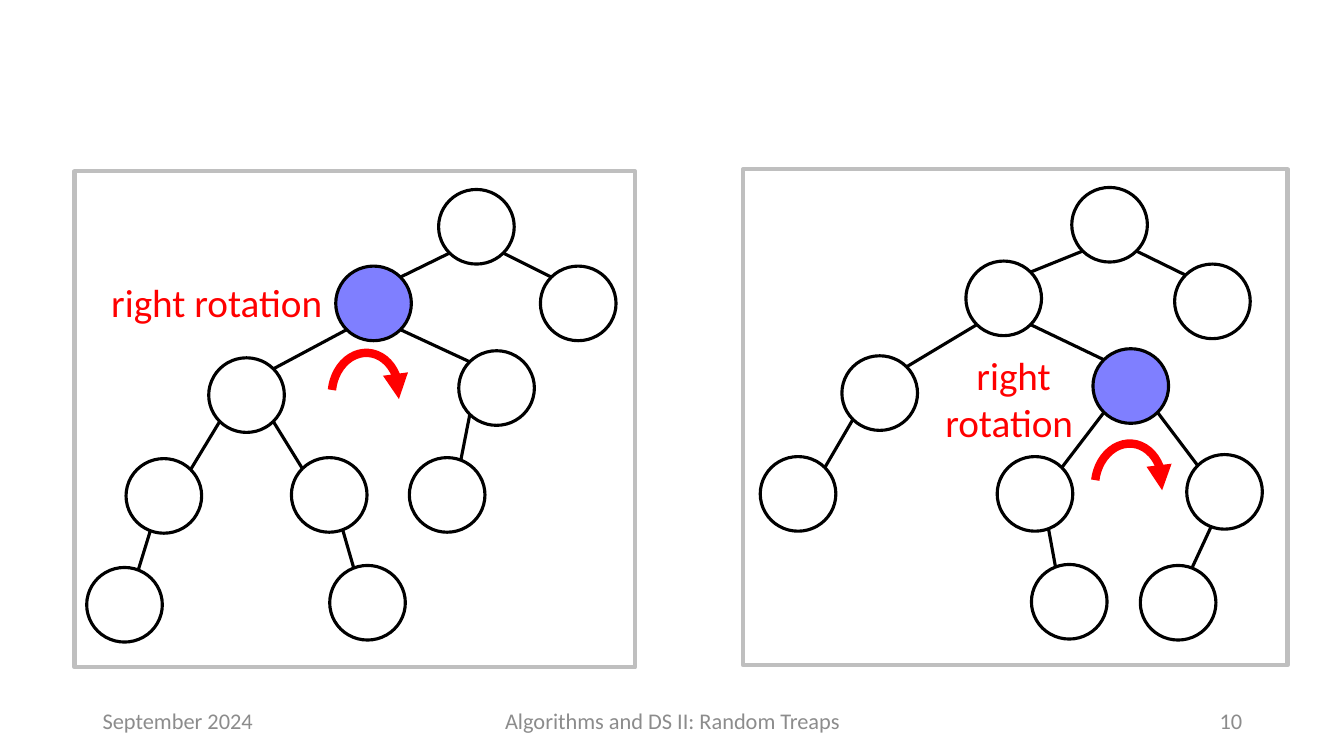
import lxml.etree
import pptx
import pptx.dml.color
import pptx.enum.shapes
import pptx.enum.text
import pptx.oxml.ns
import pptx.util

Inches = pptx.util.Inches
Pt = pptx.util.Pt
RGB = pptx.dml.color.RGBColor.from_string
Shape = pptx.enum.shapes.MSO_SHAPE
Align = pptx.enum.text.PP_ALIGN
qn = pptx.oxml.ns.qn

theme = {
    "font": "Calibri", "foot": "8C8C8C", "ink": "000000", "frame": "BFBFBF",
    "turn": "FF0000", "pivot": "0000FF", "small": 16, "large": 28,
}
WIDE, HIGH = 0.75, 0.74  # node size

prs = pptx.Presentation()
prs.slide_width, prs.slide_height = Inches(13.33), Inches(7.5)
slide = prs.slides.add_slide(prs.slide_layouts[6])


def add_text(shapes, box, lines, size, align):
    """Add a text box; each line is a list of (text, colour) runs."""
    text = shapes.add_textbox(*map(Inches, box))
    frame = text.text_frame
    frame.word_wrap = True
    for i, line in enumerate(lines):
        para = frame.paragraphs[0] if i == 0 else frame.add_paragraph()
        para.alignment = align
        for words, color in line:
            run = para.add_run()
            run.text = words
            run.font.name = theme["font"]
            run.font.size = Pt(size)
            run.font.color.rgb = RGB(color)
    return frame


def add_shape(shapes, kind, box, color, width):
    """Add an unfilled outline shape."""
    shape = shapes.add_shape(kind, *map(Inches, box))
    shape.shadow.inherit = False
    shape.fill.background()
    shape.line.color.rgb = RGB(color)
    shape.line.width = Pt(width)
    return shape


# Footer
for left, width, words, align in [
    (0.92, 3, "September 2024", Align.LEFT),
    (4.42, 4.5, "Algorithms and DS II: Random Treaps", Align.CENTER),
    (9.42, 3, "10", Align.RIGHT),
]:
    foot = add_text(slide.shapes, (left, 6.95, width, 0.4),
                    [[(words, theme["foot"])]], theme["small"], align)
    foot.vertical_anchor = pptx.enum.text.MSO_ANCHOR.MIDDLE

# Trees: frame, pivot, and nodes as name: (left, top, parent)
trees = [
    ((0.74, 1.7, 5.56, 4.92), "b", {
        "a": (4.35, 1.88, None), "b": (3.33, 2.64, "a"), "c": (5.36, 2.64, "a"),
        "d": (2.07, 3.55, "b"), "e": (4.55, 3.48, "b"),
        "f": (1.25, 4.55, "d"), "g": (2.89, 4.54, "d"), "h": (4.06, 4.54, "e"),
        "i": (0.86, 5.63, "f"), "j": (3.27, 5.61, "g"),
    }),
    ((7.37, 1.68, 5.4, 4.92), "e", {
        "a": (10.63, 1.86, None), "b": (9.58, 2.59, "a"), "c": (11.65, 2.62, "a"),
        "d": (8.35, 3.53, "b"), "e": (10.84, 3.46, "b"),
        "f": (7.54, 4.53, "d"), "g": (9.89, 4.53, "e"), "h": (11.77, 4.51, "e"),
        "i": (10.23, 5.6, "g"), "j": (11.31, 5.61, "h"),
    }),
]
for border, pivot, nodes in trees:
    group = slide.shapes.add_group_shape().shapes
    add_shape(group, Shape.RECTANGLE, border, theme["frame"], 3)
    for name, (left, top, parent) in nodes.items():
        node = add_shape(group, Shape.OVAL, (left, top, WIDE, HIGH), theme["ink"], 2.25)
        if name == pivot:
            node.fill.solid()
            node.fill.fore_color.rgb = RGB(theme["pivot"])
            color = node.fill._xPr.find(".//" + qn("a:srgbClr"))
            lxml.etree.SubElement(color, qn("a:alpha")).set("val", "50000")
        if parent is None:
            continue

        # Edges join facing diagonals; close nodes join nearer the middle
        px, py, _ = nodes[parent]
        gap = abs(px - left)
        x_in, y_in = (0.24, 0.02) if gap < 0.48 else (0.11, 0.11)
        x_out, y_out = (0.24, 0.03) if gap < 0.5 else (0.11, 0.11)
        if left < px:
            start, end = px + x_in, left + WIDE - x_out
        else:
            start, end = px + WIDE - x_in, left + x_out
        edge = group.add_connector(
            pptx.enum.shapes.MSO_CONNECTOR.STRAIGHT, Inches(start),
            Inches(py + HIGH - y_in), Inches(end), Inches(top + y_out))
        edge.line.color.rgb = RGB(theme["ink"])
        edge.line.width = Pt(2.25)
        lxml.etree.SubElement(edge._element.spPr, qn("a:effectLst"))

# Rotation labels with turning arrows
red = theme["turn"]
for box, lines, left, top, angle in [
    ((0.88, 2.71, 2.45, 0.57), ["right rotation"], 3.29, 3.5, 3.5),
    ((9.23, 3.44, 1.56, 1.04), ["right", "rotation"], 10.86, 4.4, 4.4),
]:
    group = slide.shapes.add_group_shape().shapes
    runs = [[(words, red)] for words in lines]
    runs[0].insert(0, (" ", theme["ink"]))
    label = add_text(group, box, runs, theme["large"], Align.CENTER)
    label.auto_size = pptx.enum.text.MSO_AUTO_SIZE.SHAPE_TO_FIT_TEXT
    arc = add_shape(group, Shape.ARC, (left, top, 0.67, 0.82), red, 6)
    arc.rotation = angle
    arc.adjustments[0], arc.adjustments[1] = 110.156, 2.904
    tail = lxml.etree.SubElement(arc.line._get_or_add_ln(), qn("a:tailEnd"))
    tail.set("type", "triangle")

prs.save("out.pptx")
